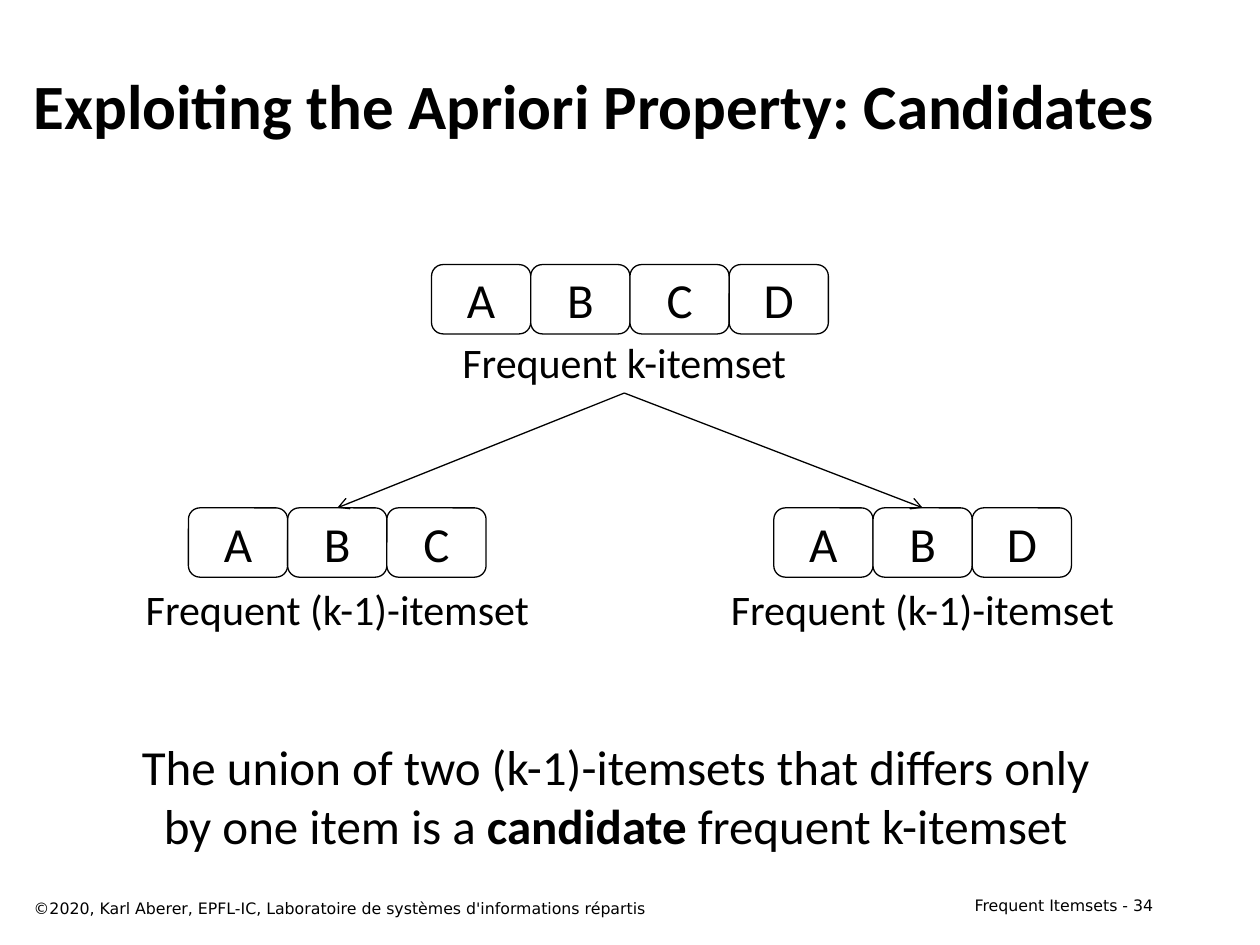
from lxml.etree import SubElement
from pptx import Presentation
from pptx.dml.color import RGBColor
from pptx.enum.shapes import MSO_CONNECTOR, MSO_SHAPE
from pptx.enum.text import MSO_ANCHOR, MSO_AUTO_SIZE, PP_ALIGN
from pptx.oxml.ns import qn
from pptx.util import Pt

COLORS = {"ink": "000000", "paper": "FFFFFF"}
TITLE = "Exploiting the Apriori Property: Candidates"
CONCLUSION = [
    ("The union of two (k-1)-itemsets that differs only by one item is a ", False),
    ("candidate ", True),
    ("frequent k-itemset", False),
]
COPYRIGHT = "©2020, Karl Aberer, EPFL-IC, Laboratoire de systèmes d'informations répartis"
PAGE_LABEL = "Frequent Itemsets - 34"

# items, left and top of the first item, caption, caption box (left, top, width)
PARENT = ("ABCD", 246.6, 151.2, "Frequent k-itemset", (252, 188.6, 209.5))
CHILDREN = [
    ("ABC", 107.7, 290.2, "Frequent (k-1)-itemset", (65.4, 329.8, 254.9)),
    ("ABD", 442.2, 290.2, "Frequent (k-1)-itemset", (399.7, 329.8, 254.9)),
]
ITEM_WIDTH, ITEM_HEIGHT, CAPTION_HEIGHT = 56.7, 39.6, 36
BOTTOM, TOP = 2, 0


def color(name):
    return RGBColor.from_string(COLORS[name])


def write(shape, runs, size, align, anchor=MSO_ANCHOR.TOP, font="Calibri"):
    """Fill a shape with one paragraph made of (text, bold) runs."""
    frame = shape.text_frame
    frame.word_wrap = True
    frame.auto_size = MSO_AUTO_SIZE.NONE
    frame.vertical_anchor = anchor
    paragraph = frame.paragraphs[0]
    paragraph.alignment = align
    for text, bold in runs:
        run = paragraph.add_run()
        run.text = text
        run.font.name = font
        run.font.size = Pt(size)
        run.font.bold = bold
        run.font.color.rgb = color("ink")


def add_box(shapes, kind, text, size, box, anchor, outlined):
    shape = shapes.add_shape(kind, *map(Pt, box))
    shape.shadow.inherit = False
    shape.fill.solid()
    shape.fill.fore_color.rgb = color("paper")
    if outlined:
        shape.line.color.rgb = color("ink")
        shape.line.width = Pt(0.75)
    else:
        shape.line.fill.background()
    write(shape, [(text, False)], size, PP_ALIGN.CENTER, anchor)
    return shape


def add_itemset(slide, items, left, top, caption, caption_box):
    """Group a row of items with its caption; return the caption and the item shapes."""
    shapes = slide.shapes.add_group_shape().shapes
    label = add_box(shapes, MSO_SHAPE.RECTANGLE, caption, 24,
                    (*caption_box, CAPTION_HEIGHT), MSO_ANCHOR.TOP, False)
    row = [
        add_box(shapes, MSO_SHAPE.ROUNDED_RECTANGLE, item, 28,
                (left + index * ITEM_WIDTH, top, ITEM_WIDTH, ITEM_HEIGHT),
                MSO_ANCHOR.MIDDLE, True)
        for index, item in enumerate(items)
    ]
    return label, row


def add_arrow(slide, start, end):
    arrow = slide.shapes.add_connector(MSO_CONNECTOR.STRAIGHT, 0, 0, 0, 0)
    arrow.begin_connect(start, BOTTOM)
    arrow.end_connect(end, TOP)
    arrow.line.color.rgb = color("ink")
    arrow.line.width = Pt(0.75)
    SubElement(arrow.line._get_or_add_ln(), qn("a:tailEnd"), type="arrow")
    SubElement(arrow._element.spPr, qn("a:effectLst"))


def add_text(slide, box, *args, **options):
    write(slide.shapes.add_textbox(*map(Pt, box)), *args, **options)


def main():
    presentation = Presentation()
    presentation.slide_width, presentation.slide_height = Pt(720), Pt(540)
    slide = presentation.slides.add_slide(presentation.slide_layouts[5])

    title = slide.shapes.title
    title.left, title.top, title.width, title.height = map(Pt, (12.2, 23.8, 665.3, 72))
    write(title, [(TITLE, True)], 36, PP_ALIGN.LEFT, MSO_ANCHOR.MIDDLE)

    parent_label, _ = add_itemset(slide, *PARENT)
    for child in CHILDREN:
        _, row = add_itemset(slide, *child)
        add_arrow(slide, parent_label, row[len(row) // 2])

    add_text(slide, (59.8, 417.6, 583.9, 74.9), CONCLUSION, 28, PP_ALIGN.CENTER)
    add_text(slide, (12.2, 509.8, 462.2, 18), [(COPYRIGHT, False)], 9,
             PP_ALIGN.LEFT, font="DejaVu Sans")
    add_text(slide, (516.2, 508.3, 149.8, 18), [(PAGE_LABEL, False)], 9,
             PP_ALIGN.RIGHT, font="DejaVu Sans")

    presentation.save("out.pptx")


if __name__ == "__main__":
    main()
